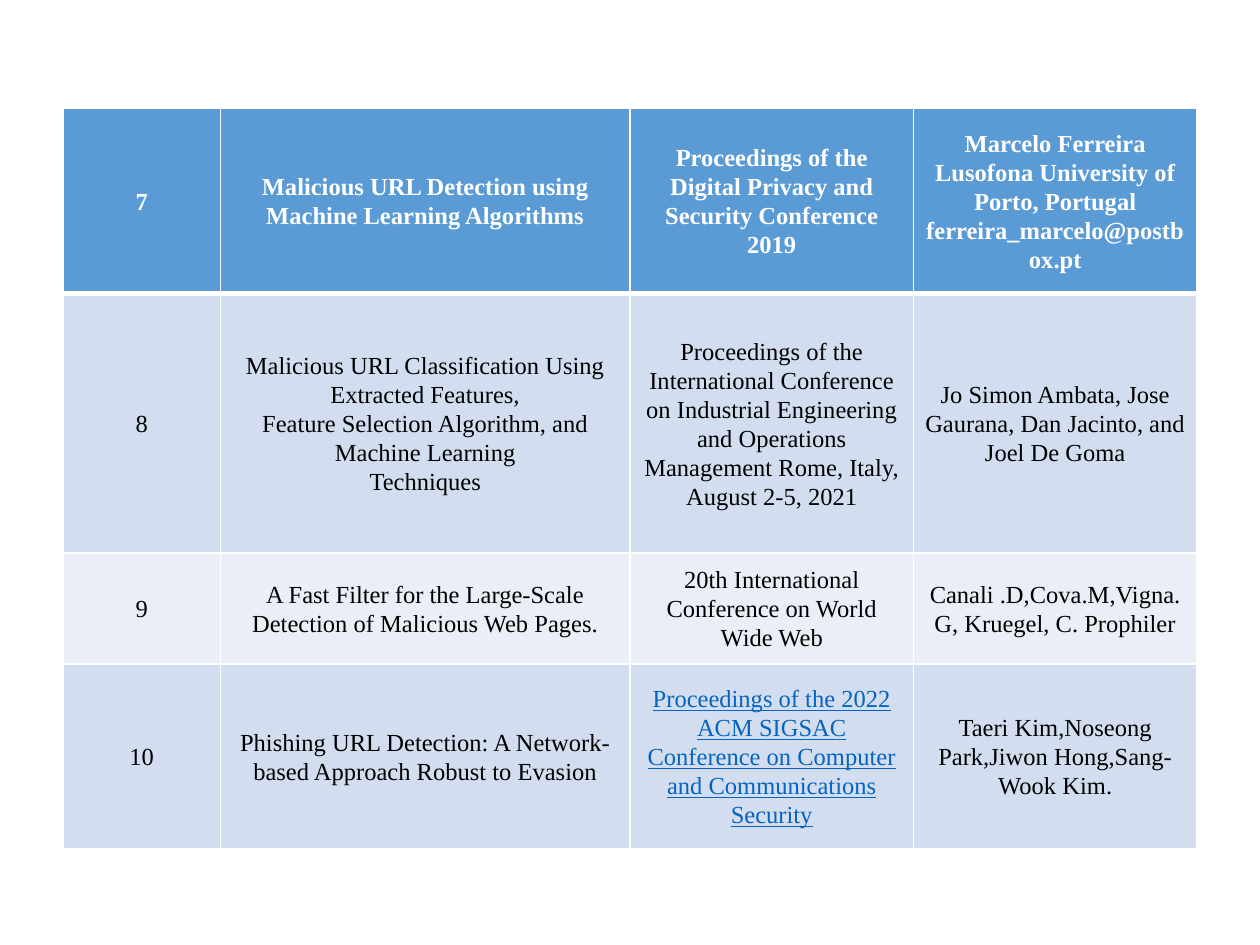
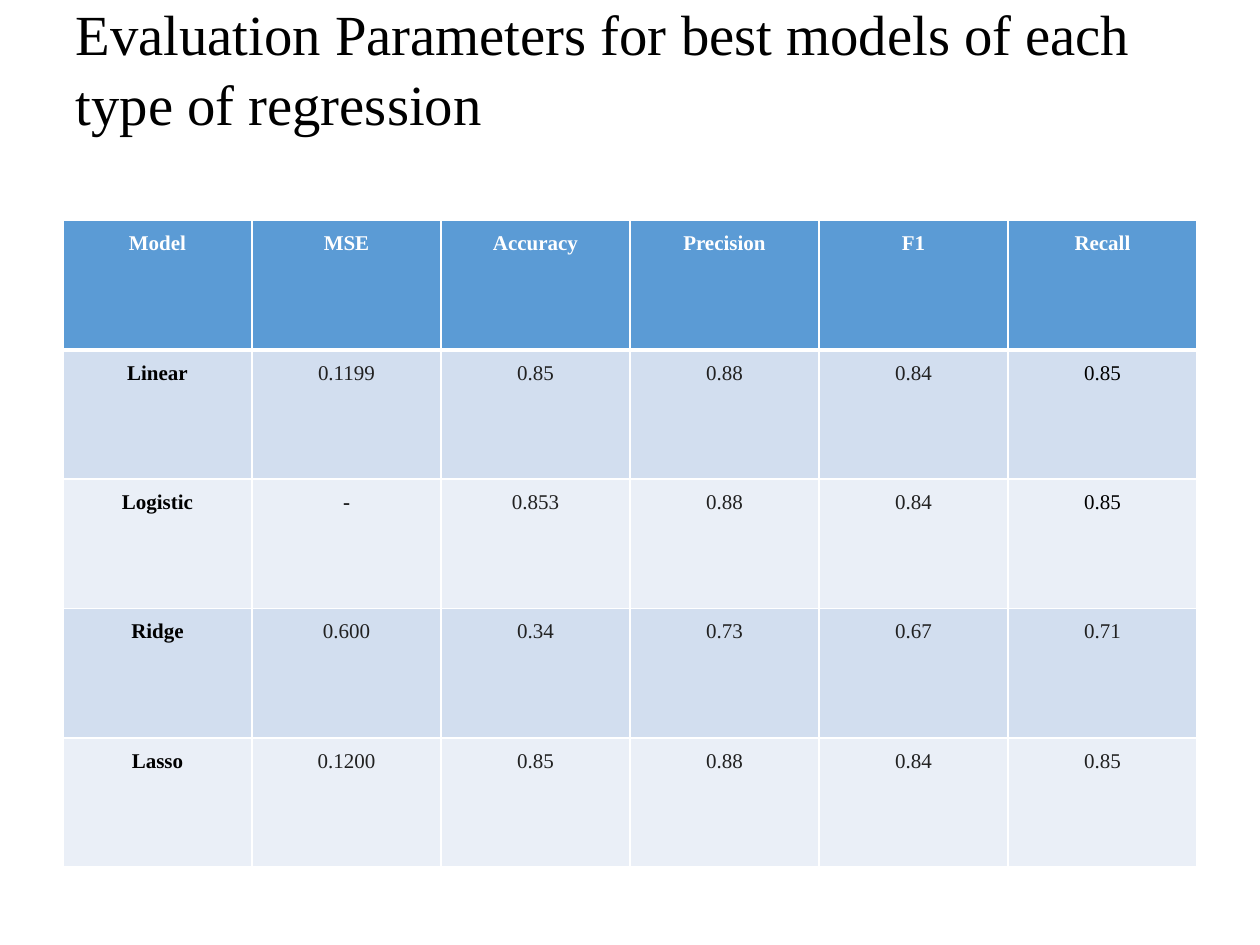
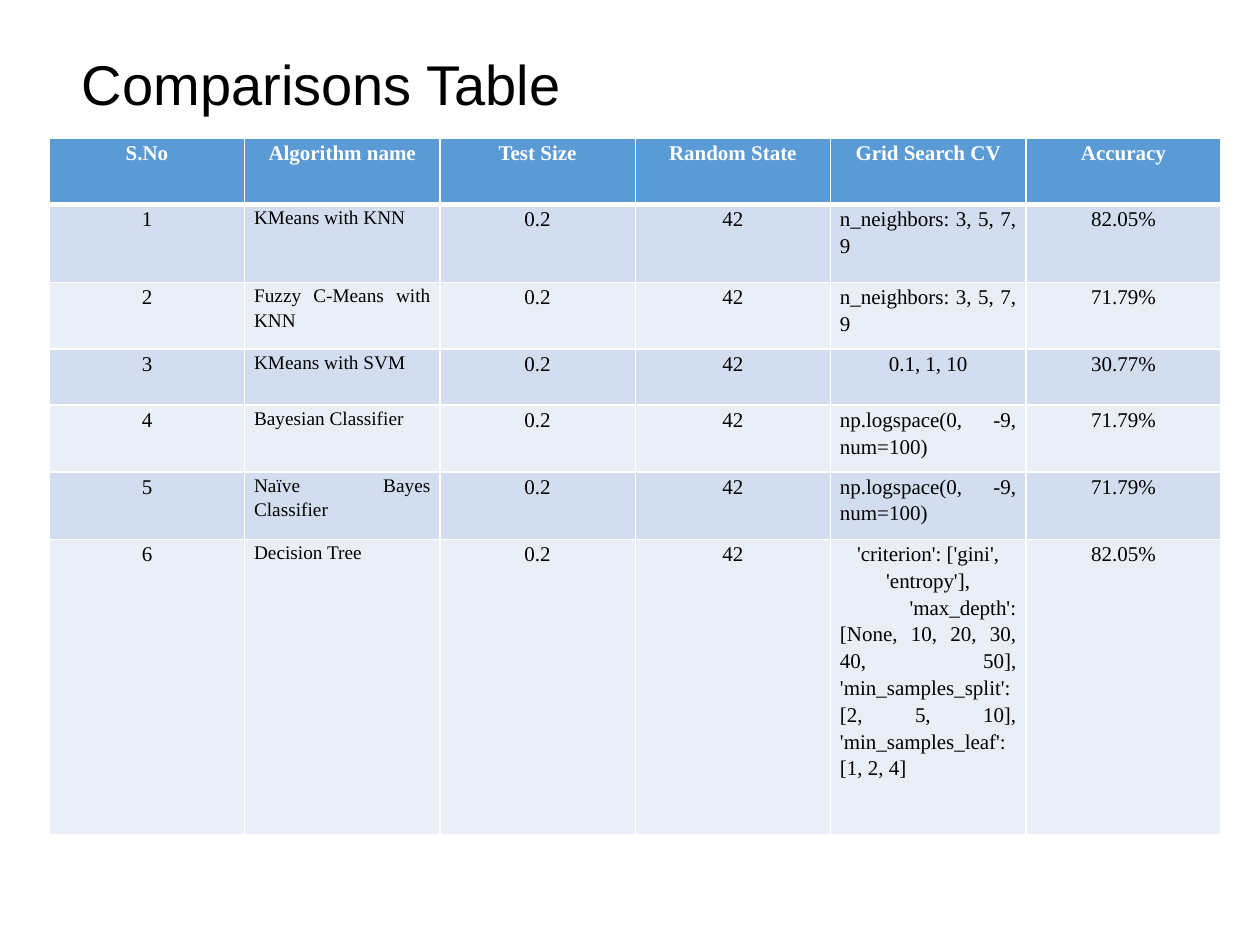
from lxml import etree
from pptx import Presentation
from pptx.dml.color import RGBColor
from pptx.enum.text import MSO_ANCHOR, MSO_AUTO_SIZE, PP_ALIGN
from pptx.oxml.ns import qn
from pptx.util import Pt

# Shared look
SERIF = "Times New Roman"
SANS = "Arial"
BLACK, WHITE, GRAY, LINK = "000000", "FFFFFF", "212121", "0563C1"
HEADER, BANDS = "5B9BD5", ("D2DEEF", "EAEFF7")
TITLE_ONLY, BLANK = 5, 6

PAPERS = [
    ["7", "Malicious URL Detection using Machine Learning Algorithms",
     "Proceedings of the Digital Privacy and Security Conference 2019",
     "Marcelo Ferreira Lusofona University of Porto, Portugal "
     "ferreira_marcelo@postbox.pt"],
    ["8", "Malicious URL Classification Using Extracted Features,\n"
     "Feature Selection Algorithm, and Machine Learning\nTechniques",
     "Proceedings of the International Conference on Industrial Engineering "
     "and Operations Management Rome, Italy, August 2-5, 2021",
     "Jo Simon Ambata, Jose Gaurana, Dan Jacinto, and Joel De Goma"],
    ["9", "A Fast Filter for the Large-Scale Detection of Malicious Web Pages.",
     "20th International Conference on World Wide Web",
     "Canali .D,Cova.M,Vigna.G, Kruegel, C. Prophiler"],
    ["10", "Phishing URL Detection: A Network-based Approach Robust to Evasion",
     "Proceedings of the 2022 ACM SIGSAC Conference on Computer and "
     "Communications Security",
     "Taeri Kim,Noseong Park,Jiwon Hong,Sang-Wook Kim."],
]

SCORES = [
    ["Model", "MSE", "Accuracy", "Precision", "F1", "Recall"],
    ["Linear", "0.1199", "0.85", "0.88", "0.84", "0.85"],
    ["Logistic", "-", "0.853", "0.88", "0.84", "0.85"],
    ["Ridge", "0.600", "0.34", "0.73", "0.67", "0.71"],
    ["Lasso", "0.1200", "0.85", "0.88", "0.84", "0.85"],
]
BLACK_SCORES = {(1, 5), (2, 1), (2, 5)}

NEIGHBORS = "n_neighbors: 3, 5, 7, 9"
LOGSPACE = "np.logspace(0, -9, num=100)"
TREE_GRID = ("'criterion': ['gini', 'entropy'],\n"
             "    'max_depth': [None, 10, 20, 30, 40, 50], "
             "'min_samples_split': [2, 5, 10], 'min_samples_leaf': [1, 2, 4]")
# Algorithm, searched grid, accuracy
RESULTS = [
    ("KMeans with KNN", NEIGHBORS, "82.05%"),
    ("Fuzzy C-Means with KNN", NEIGHBORS, "71.79%"),
    ("KMeans with SVM", "0.1, 1, 10", "30.77%"),
    ("Bayesian Classifier", LOGSPACE, "71.79%"),
    ("Naïve Bayes Classifier", LOGSPACE, "71.79%"),
    ("Decision Tree", TREE_GRID, "82.05%"),
]


def rgb(color):
    return RGBColor.from_string(color)


def style_runs(tf, size=None, color=None, bold=None, font=None, underline=None):
    """Format every run, leaving alone what is not given."""
    for r in (r for p in tf.paragraphs for r in p.runs):
        f = r.font
        if size:
            f.size = Pt(size)
        if color:
            f.color.rgb = rgb(color)
        if bold is not None:
            f.bold = bold
        if font:
            f.name = font
        if underline is not None:
            f.underline = underline


def add_title(slide, text, left, top, width, height, size, font, spacing=1.0):
    sp = slide.shapes.title
    sp.left, sp.top, sp.width, sp.height = map(Pt, (left, top, width, height))
    tf = sp.text_frame
    tf.text = text
    tf.word_wrap = True
    tf.auto_size = MSO_AUTO_SIZE.NONE
    tf.vertical_anchor = MSO_ANCHOR.MIDDLE
    p = tf.paragraphs[0]
    p.alignment = PP_ALIGN.LEFT
    p.line_spacing = spacing
    style_runs(tf, size, BLACK, font=font)


def set_borders(cell, top, bottom):
    """White cell edges; they must come before the fill."""
    tc_pr = cell._tc.get_or_add_tcPr()
    for edge, width in (("L", 1), ("R", 1), ("T", top), ("B", bottom)):
        ln = etree.SubElement(tc_pr, qn("a:ln" + edge), w=str(Pt(width)))
        fill = etree.SubElement(ln, qn("a:solidFill"))
        etree.SubElement(fill, qn("a:srgbClr"), val=WHITE)


def add_grid(slide, rows, left, top, widths, heights, size, spacing,
             after=0, anchor=MSO_ANCHOR.TOP):
    """Banded table with a blue header row and centred text."""
    table = slide.shapes.add_table(
        len(rows), len(widths), Pt(left), Pt(top),
        Pt(sum(widths)), Pt(sum(heights))).table
    for column, width in zip(table.columns, widths):
        column.width = Pt(width)
    for i, (row, height) in enumerate(zip(rows, heights)):
        table.rows[i].height = Pt(height)
        for j, text in enumerate(row):
            cell = table.cell(i, j)
            set_borders(cell, 3 if i == 1 else 1, 3 if i == 0 else 1)
            cell.fill.solid()
            cell.fill.fore_color.rgb = rgb(BANDS[(i - 1) % 2] if i else HEADER)
            cell.margin_left = cell.margin_right = Pt(5.4)
            cell.margin_top = cell.margin_bottom = 0
            cell.vertical_anchor = anchor
            tf = cell.text_frame
            tf.text = text
            for p in tf.paragraphs:
                p.alignment = PP_ALIGN.CENTER
                p.line_spacing = spacing
                p.space_after = Pt(after)
            style_runs(tf, size, BLACK if i else WHITE, i == 0, SERIF)
    return table


def papers_slide(prs):
    slide = prs.slides.add_slide(prs.slide_layouts[BLANK])
    table = add_grid(slide, PAPERS, 36, 62, [90, 234, 162, 162],
                     [105.8, 148.3, 63.4, 105.8], 14, 1.07,
                     anchor=MSO_ANCHOR.MIDDLE)
    style_runs(table.cell(3, 2).text_frame, color=LINK, underline=True)


def scores_slide(prs):
    slide = prs.slides.add_slide(prs.slide_layouts[TITLE_ONLY])
    add_title(slide, "Evaluation Parameters for best models of each type of regression",
              36, 15, 648, 46, 32.4, SERIF, 1.04)
    table = add_grid(slide, SCORES, 36, 126, [108] * 6, [73.9] * 5, 12, 1.5, after=8)
    # Bold model names, gray figures
    for i in range(1, len(SCORES)):
        style_runs(table.cell(i, 0).text_frame, bold=True)
        for j in range(1, 6):
            if (i, j) not in BLACK_SCORES:
                style_runs(table.cell(i, j).text_frame, color=GRAY)


def comparison_slide(prs):
    slide = prs.slides.add_slide(prs.slide_layouts[TITLE_ONLY])
    add_title(slide, "Comparisons Table", 39.6, 16.6, 648, 62, 32, SANS)
    rows = [["S.No", "Algorithm name", "Test Size", "Random State",
             "Grid Search CV", "Accuracy"]]
    rows += [[str(n), name, "0.2", "42", grid, accuracy]
             for n, (name, grid, accuracy) in enumerate(RESULTS, 1)]
    table = add_grid(slide, rows, 28.2, 78.8, [111.6] * 6,
                     [38, 44.6, 38.2, 32, 38.2, 38.5, 169], 12, 1.15)
    # Justified names and multi-line grids
    for i in range(1, len(rows)):
        name, grid = (table.cell(i, j).text_frame for j in (1, 4))
        style_runs(name, size=11)
        name.paragraphs[0].alignment = PP_ALIGN.JUSTIFY
        if i != 3:
            grid.paragraphs[-1].alignment = PP_ALIGN.JUSTIFY


def main():
    prs = Presentation()
    prs.slide_width, prs.slide_height = Pt(720), Pt(540)
    papers_slide(prs)
    scores_slide(prs)
    comparison_slide(prs)
    prs.save("out.pptx")


if __name__ == "__main__":
    main()
